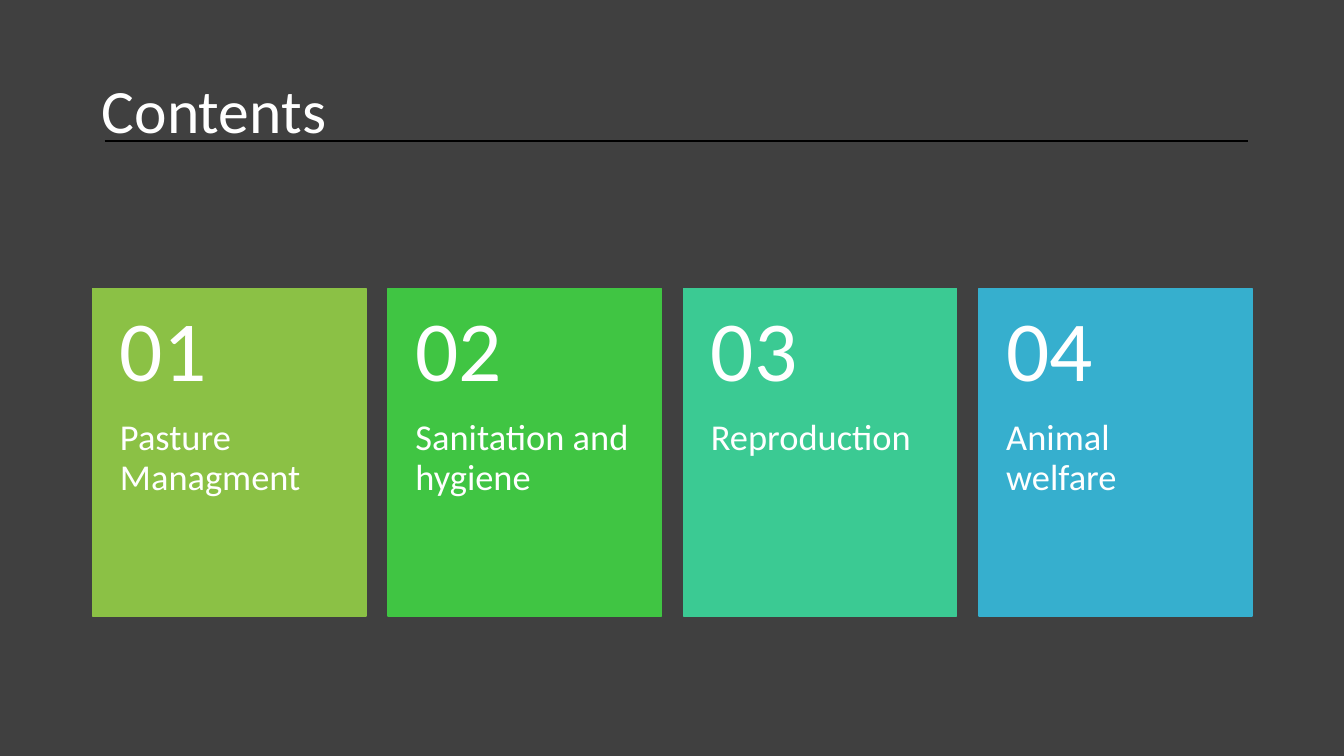
from pptx import Presentation
from pptx.dml.color import RGBColor
from pptx.enum.shapes import MSO_CONNECTOR, MSO_SHAPE
from pptx.enum.text import MSO_ANCHOR as ANCHOR, MSO_AUTO_SIZE
from pptx.oxml.ns import qn
from pptx.util import Pt
from lxml import etree

PX = 9144  # 100 px to the inch
BACKGROUND = RGBColor(0x40, 0x40, 0x40)
WHITE = RGBColor(0xFF, 0xFF, 0xFF)
BLACK = RGBColor(0x00, 0x00, 0x00)
CARDS = [
    ("Pasture Managment", RGBColor(0x8B, 0xC1, 0x45)),
    ("Sanitation and hygiene", RGBColor(0x40, 0xC5, 0x43)),
    ("Reproduction", RGBColor(0x3B, 0xCA, 0x93)),
    ("Animal welfare", RGBColor(0x36, 0xAF, 0xCE)),
]
CARD_LEFT, CARD_TOP, CARD_W, CARD_H = 92, 286, 271, 325
CARD_PITCH, NUMBER_H = 293, 130


def px(*lengths):
    return [n * PX for n in lengths]


def write(sp, text, size, anchor=ANCHOR.TOP, insets=(10, 5, 10, 5)):
    """Fill a shape with one white paragraph; insets are left, top, right, bottom."""
    tf = sp.text_frame
    tf.word_wrap = True
    tf.auto_size = MSO_AUTO_SIZE.NONE
    tf.vertical_anchor = anchor
    tf.margin_left, tf.margin_top, tf.margin_right, tf.margin_bottom = px(*insets)
    p = tf.paragraphs[0]
    p.line_spacing = 0.9
    r = p.add_run()
    r.text = text
    r.font.name = "Calibri"
    r.font.size = Pt(size)
    r.font.color.rgb = WHITE


prs = Presentation()
prs.slide_width, prs.slide_height = px(1333, 750)
s = prs.slides.add_slide(prs.slide_layouts[5])
s.background.fill.solid()
s.background.fill.fore_color.rgb = BACKGROUND

rule = s.shapes.add_connector(MSO_CONNECTOR.STRAIGHT, *px(104, 140, 1238, 140))
rule.line.color.rgb = BLACK
rule.line.width = Pt(1)
etree.SubElement(rule._element.spPr, qn("a:effectLst"))

title = s.shapes.title
title.left, title.top, title.width, title.height = px(91, 40, 1151, 145)
write(title, "Contents", 44, anchor=ANCHOR.MIDDLE)
title.text_frame.paragraphs[0].alignment = 1

for i, (topic, color) in enumerate(CARDS):
    left = CARD_LEFT + i * CARD_PITCH
    card = s.shapes.add_shape(
        MSO_SHAPE.RECTANGLE, *px(left, CARD_TOP, CARD_W, CARD_H))
    card.shadow.inherit = False
    card.fill.solid()
    card.fill.fore_color.rgb = color
    card.line.color.rgb = color
    card.line.width = Pt(1)

    label = s.shapes.add_textbox(
        *px(left, CARD_TOP + NUMBER_H, CARD_W, CARD_H - NUMBER_H))
    write(label, topic, 26, insets=(27, 0, 27, 36))
    number = s.shapes.add_textbox(*px(left, CARD_TOP, CARD_W, NUMBER_H))
    write(number, f"{i + 1:02}", 61, anchor=ANCHOR.MIDDLE, insets=(27, 18, 27, 18))

prs.save("out.pptx")
